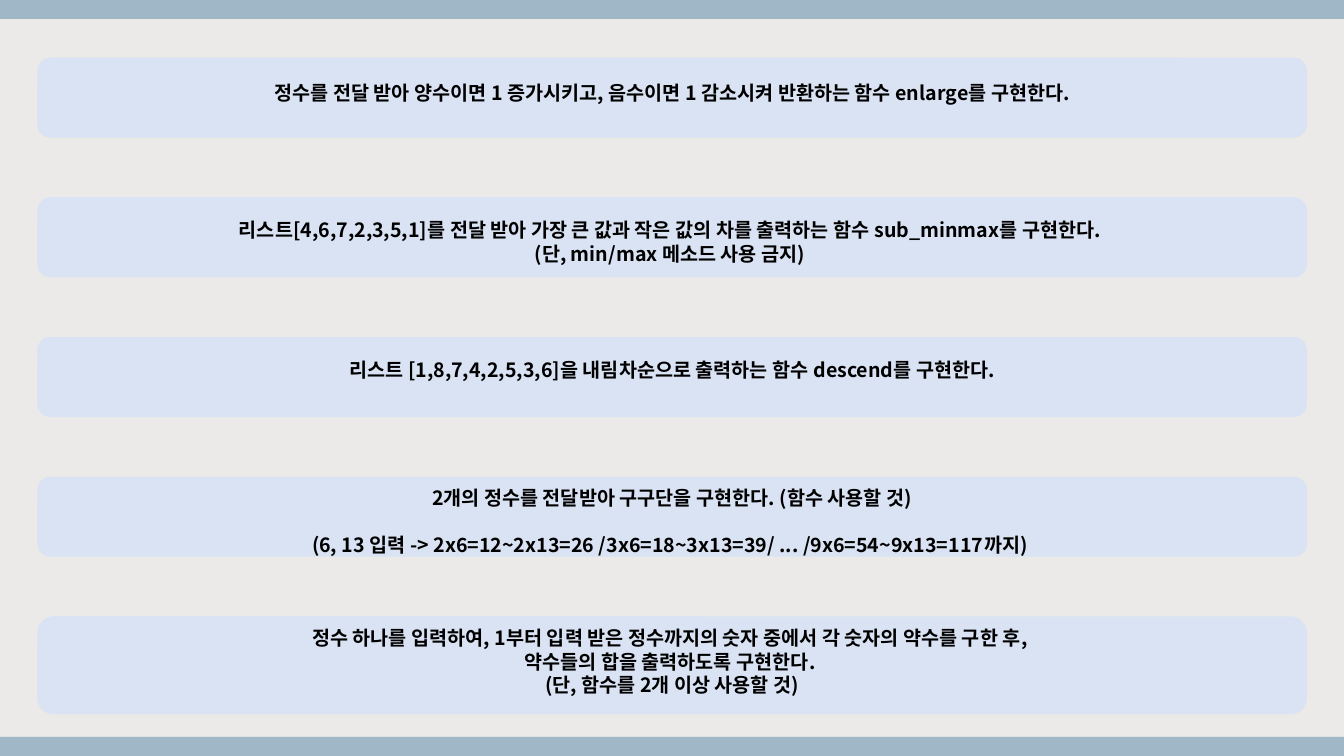
from dataclasses import dataclass

from pptx import Presentation
from pptx.dml.color import RGBColor
from pptx.enum.shapes import MSO_SHAPE
from pptx.enum.text import MSO_ANCHOR, PP_ALIGN
from pptx.oxml import parse_xml
from pptx.oxml.ns import nsdecls
from pptx.util import Cm, Pt


@dataclass(frozen=True)
class Theme:
    background: str = "EBEAE8"
    band: str = "A0B7C7"
    card: str = "DAE3F3"
    ink: str = "000000"
    font: str = "Noto Sans CJK KR"
    text_size: int = 14
    gap_size: int = 5


THEME = Theme()
PAGE_WIDTH, PAGE_HEIGHT = 33.87, 19.05
BAND_HEIGHT = 0.48
CARD_LEFT, CARD_WIDTH = 0.94, 32
FIRST_TOP, CARD_STEP = 1.45, 3.52

# Each card: its height, top inset and lines of (text, line spacing, size)
CARDS = [
    (2.02, 0.2, [
        ("정수를 전달 받아 양수이면 1 증가시키고, 음수이면 1 감소시켜 반환하는 함수 enlarge를 구현한다.", 1.5, THEME.text_size)]),
    (2.02, 0.13, [
        ("리스트[4,6,7,2,3,5,1]를 전달 받아 가장 큰 값과 작은 값의 차를 출력하는 함수 sub_minmax를 구현한다. ", 1.5, THEME.text_size),
        ("(단, min/max 메소드 사용 금지) ", 1, THEME.text_size)]),
    (2.02, 0.13, [
        ("리스트 [1,8,7,4,2,5,3,6]을 내림차순으로 출력하는 함수 descend를 구현한다.", 1.5, THEME.text_size)]),
    (2.02, 0.13, [
        ("2개의 정수를 전달받아 구구단을 구현한다. (함수 사용할 것)", 1, THEME.text_size),
        ("(6, 13 입력 -> 2x6=12~2x13=26 /3x6=18~3x13=39/ ... /9x6=54~9x13=117까지) ", 1, THEME.text_size)]),
    (2.47, 0.13, [
        ("정수 하나를 입력하여, 1부터 입력 받은 정수까지의 숫자 중에서 각 숫자의 약수를 구한 후, ", 1, THEME.text_size),
        ("약수들의 합을 출력하도록 구현한다. ", 1, THEME.text_size),
        ("(단, 함수를 2개 이상 사용할 것)", 1, THEME.text_size)]),
]
# Space above a line, in points, keyed by (card, line)
SPACE_BEFORE = {(3, 1): 16.8, (4, 0): 6}


def write_line(para, text, *, size, font, color, spacing=1, before=0, bold=True):
    para.alignment = PP_ALIGN.CENTER
    para.line_spacing = spacing
    para.space_before = Pt(before)
    span = para.add_run()
    span.text = text
    span.font.size = Pt(size)
    span.font.bold = bold
    span.font.name = font
    span.font.color.rgb = RGBColor.from_string(color)
    span.font._element.append(parse_xml(f'<a:ea {nsdecls("a")} typeface="{font}"/>'))


class SlideBuilder:
    def __init__(self, page, theme):
        self.page = page
        self.theme = theme
        page.background.fill.solid()
        page.background.fill.fore_color.rgb = RGBColor.from_string(theme.background)

    def shape(self, kind, left, top, width, height, color):
        box = self.page.shapes.add_shape(kind, Cm(left), Cm(top), Cm(width), Cm(height))
        box.shadow.inherit = False
        box.fill.solid()
        box.fill.fore_color.rgb = RGBColor.from_string(color)
        box.line.fill.background()
        return box

    def band(self, top):
        self.shape(MSO_SHAPE.RECTANGLE, 0, top, PAGE_WIDTH, BAND_HEIGHT, self.theme.band)

    def card(self, index, height, inset, lines):
        box = self.shape(MSO_SHAPE.ROUNDED_RECTANGLE, CARD_LEFT, FIRST_TOP + index * CARD_STEP,
                         CARD_WIDTH, height, self.theme.card)
        frame = box.text_frame
        frame.word_wrap = True
        frame.vertical_anchor = MSO_ANCHOR.TOP
        frame.margin_top = Cm(inset)
        for number, (text, spacing, size) in enumerate(lines):
            para = frame.add_paragraph() if number else frame.paragraphs[0]
            write_line(para, text, size=size, font=self.theme.font, color=self.theme.ink,
                       spacing=spacing, before=SPACE_BEFORE.get((index, number), 0))


def main():
    deck = Presentation()
    deck.slide_width, deck.slide_height = Cm(PAGE_WIDTH), Cm(PAGE_HEIGHT)
    builder = SlideBuilder(deck.slides.add_slide(deck.slide_layouts[6]), THEME)

    # Task cards, evenly spaced
    for index, (height, inset, lines) in enumerate(CARDS):
        builder.card(index, height, inset, lines)

    # Bands along the top and bottom edges
    for top in (0, PAGE_HEIGHT - BAND_HEIGHT):
        builder.band(top)

    deck.save("out.pptx")


if __name__ == "__main__":
    main()
